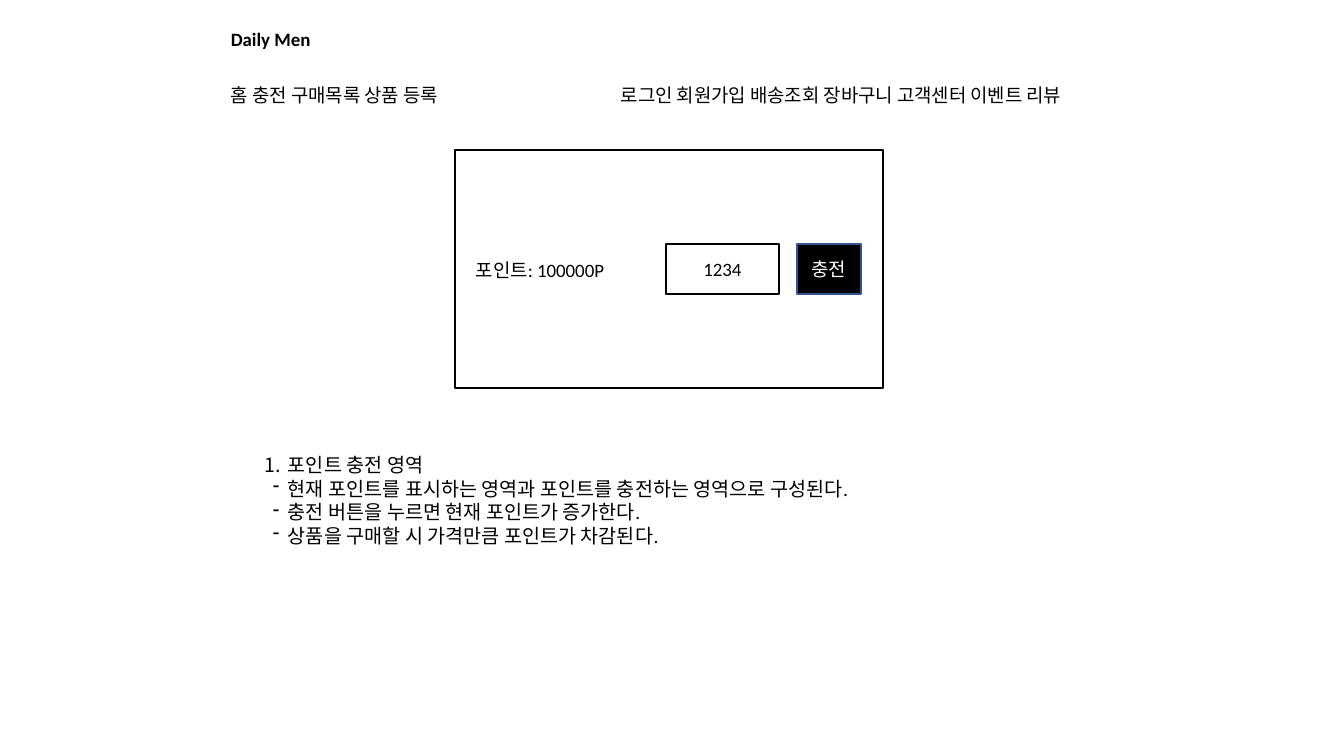
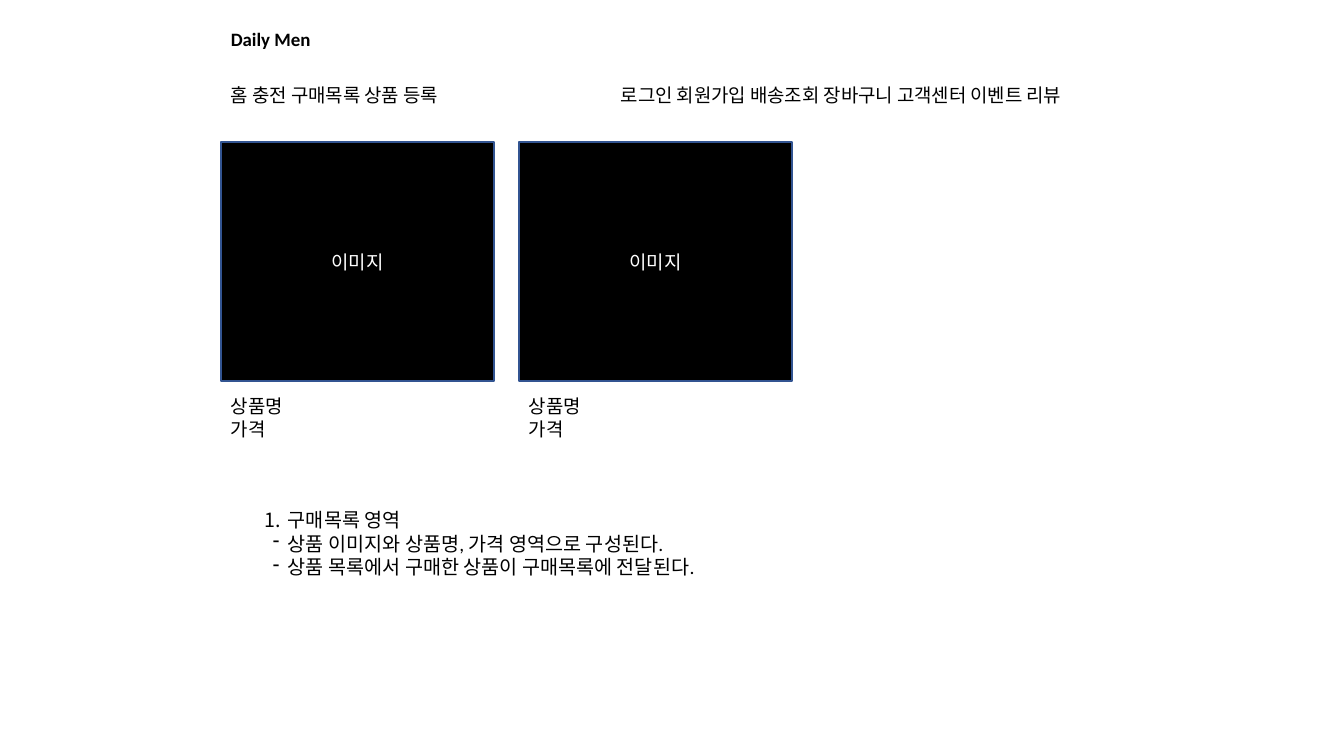
from lxml import etree
from pptx import Presentation
from pptx.dml.color import RGBColor
from pptx.enum.shapes import MSO_SHAPE
from pptx.enum.text import MSO_ANCHOR, PP_ALIGN
from pptx.oxml.ns import qn
from pptx.util import Pt

RECT = MSO_SHAPE.RECTANGLE
MIDDLE, TOP = MSO_ANCHOR.MIDDLE, MSO_ANCHOR.TOP
LEFT, CENTER = PP_ALIGN.LEFT, PP_ALIGN.CENTER

# Shared look
SLIDE_W, SLIDE_H = 1344, 756
SCALE = 12192000 / SLIDE_W
BLACK, WHITE, BLUE = "000000", "FFFFFF", "325491"
BODY = {"name": "Calibri", "size": Pt(13.5)}
BRAND = {**BODY, "bold": True}
NOTE = {**BODY, "size": Pt(14)}
LINE_H = 33


def emu(pixels):
    return round(pixels * SCALE)


def color(hex_value):
    return RGBColor.from_string(hex_value)


def write(frame, lines, style, ink, align, anchor):
    frame.word_wrap = True
    frame.vertical_anchor = anchor
    for index, line in enumerate(lines):
        paragraph = frame.paragraphs[0] if index == 0 else frame.add_paragraph()
        paragraph.alignment = align
        run = paragraph.add_run()
        run.text = line
        run.font.color.rgb = color(ink)
        for attribute, value in style.items():
            setattr(run.font, attribute, value)


def text(slide, box, *lines, style=BODY):
    label = slide.shapes.add_textbox(*map(emu, box))
    write(label.text_frame, lines, style, BLACK, LEFT, TOP)
    return label.text_frame


def panel(slide, box, caption=None, fill=None, line=BLACK, ink=BLACK):
    block = slide.shapes.add_shape(RECT, *map(emu, box))
    block.shadow.inherit = False
    if fill:
        block.fill.solid()
        block.fill.fore_color.rgb = color(fill)
    else:
        block.fill.background()
    block.line.color.rgb = color(line)
    block.line.width = Pt(1)
    if caption:
        write(block.text_frame, [caption], BODY, ink, CENTER, MIDDLE)


def dark_panel(slide, box, caption):
    panel(slide, box, caption, fill=BLACK, line=BLUE, ink=WHITE)


def bullet(paragraph, tag, hang, **attributes):
    properties = paragraph._p.get_or_add_pPr()
    properties.set("marL", str(emu(23)))
    properties.set("indent", str(-emu(hang)))
    etree.SubElement(properties, qn(tag), attributes)


# Site name and the two menus
def header(slide, x, y):
    text(slide, (x, y, 265, LINE_H), "Daily Men", style=BRAND)
    menu_y = y + 56
    text(slide, (x, menu_y, 265, LINE_H), "홈 충전 구매목록 상품 등록")
    text(slide, (x + 390, menu_y, 566, LINE_H),
         "로그인 회원가입 배송조회 장바구니 고객센터 이벤트 리뷰")


# Numbered heading with dashed remarks
def notes(slide, box, heading, *remarks):
    frame = text(slide, box, heading, *remarks, style=NOTE)
    first, *rest = frame.paragraphs
    bullet(first, "a:buAutoNum", 23, type="arabicPeriod")
    for paragraph in rest:
        bullet(paragraph, "a:buChar", 15, char="-")


# Point balance, amount field and charge button
def charge_card(slide, x, y, width, height):
    panel(slide, (x, y, width, height))
    text(slide, (x + 11, y + 104, 183, LINE_H), "포인트: 100000P")
    control_h = 50
    control_y = y + (height - control_h) / 2
    panel(slide, (x + 211, control_y, 113, control_h), "1234", fill=WHITE)
    dark_panel(slide, (x + 342, control_y, 64, control_h), "충전")


# Row of purchased products
def products(slide, x, y, width, height, count=2, gap=25):
    for column in range(count):
        left = x + column * (width + gap)
        dark_panel(slide, (left, y, width, height), "이미지")
        text(slide, (left, y + height + 9, width, 56), "상품명", "가격")


def new_slide(deck):
    slide = deck.slides.add_slide(deck.slide_layouts[6])
    header(slide, 221, 23)
    return slide


def charge_slide(deck):
    slide = new_slide(deck)
    charge_card(slide, 455, 150, 428, 238)
    notes(slide, (255, 448, 692, 105), "포인트 충전 영역",
          "현재 포인트를 표시하는 영역과 포인트를 충전하는 영역으로 구성된다.",
          "충전 버튼을 누르면 현재 포인트가 증가한다.",
          "상품을 구매할 시 가격만큼 포인트가 차감된다.")


def purchases_slide(deck):
    slide = new_slide(deck)
    products(slide, 221, 142, 273, 239)
    notes(slide, (255, 503, 629, 82), "구매목록 영역",
          "상품 이미지와 상품명, 가격 영역으로 구성된다.",
          "상품 목록에서 구매한 상품이 구매목록에 전달된다.")


deck = Presentation()
deck.slide_width, deck.slide_height = emu(SLIDE_W), emu(SLIDE_H)
charge_slide(deck)
purchases_slide(deck)
deck.save("out.pptx")
